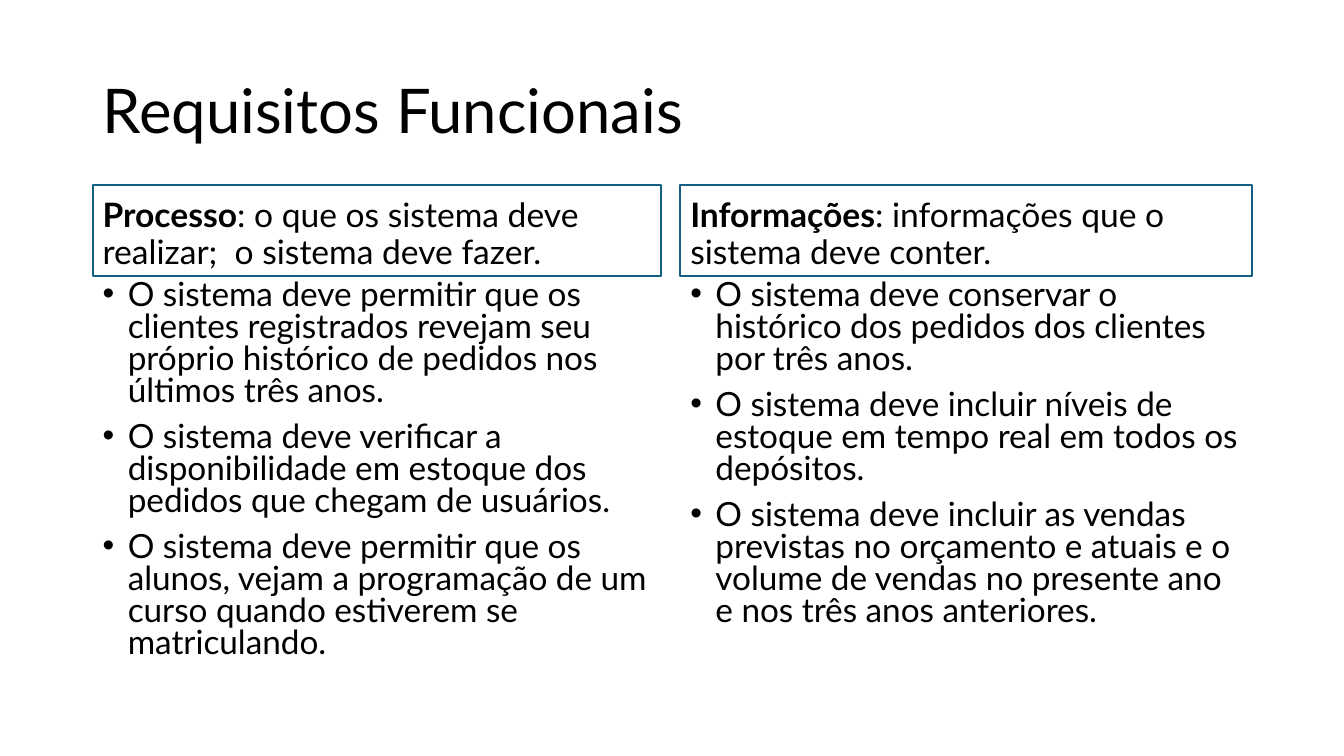
import pptx
import pptx.dml.color
import pptx.enum.shapes
import pptx.enum.text
import pptx.util
from lxml import etree
from pptx.oxml.ns import qn

Pt = pptx.util.Pt
ANCHOR = pptx.enum.text.MSO_ANCHOR
COLORS = {"text": "000000", "fill": "FFFFFF", "border": "156082"}


class Deck:
    font = "Lato"

    def __init__(self, prs):
        self.s = prs.slides.add_slide(prs.slide_layouts[6])

    def color(self, name):
        return pptx.dml.color.RGBColor.from_string(COLORS[name])

    def frame(self, sp, anchor):
        tf = sp.text_frame
        tf.word_wrap = True
        tf.vertical_anchor = anchor
        return tf

    def style(self, p, size, spacing, before=0):
        p.alignment = pptx.enum.text.PP_ALIGN.LEFT
        p.line_spacing = spacing
        p.space_before = Pt(before)
        p.font.name = self.font
        p.font.size = Pt(size)
        p.font.color.rgb = self.color("text")

    def title(self, text, x, y, w, h):
        sp = self.s.shapes.add_textbox(Pt(x), Pt(y), Pt(w), Pt(h))
        p = self.frame(sp, ANCHOR.MIDDLE).paragraphs[0]
        p.text = text
        self.style(p, 44, 0.9)

    def heading(self, term, text, x, y, w, h):
        sp = self.s.shapes.add_shape(
            pptx.enum.shapes.MSO_SHAPE.RECTANGLE, Pt(x), Pt(y), Pt(w), Pt(h))
        sp.shadow.inherit = False
        sp.fill.solid()
        sp.fill.fore_color.rgb = self.color("fill")
        sp.line.color.rgb = self.color("border")
        sp.line.width = Pt(1.5)
        p = self.frame(sp, ANCHOR.BOTTOM).paragraphs[0]
        self.style(p, 24, 0.9, 10)
        for part, bold in ((term, True), (text, False)):
            r = p.add_run()
            r.text = part
            r.font.bold = bold

    def bullets(self, items, x, y, w, h):
        sp = self.s.shapes.add_textbox(Pt(x), Pt(y), Pt(w), Pt(h))
        tf = self.frame(sp, ANCHOR.TOP)
        for i, item in enumerate(items):
            p = tf.add_paragraph() if i else tf.paragraphs[0]
            p.text = item
            self.style(p, 23.8, 0.8, 10)
            # Hanging bullet, placed ahead of the default run properties
            pPr = p._p.get_or_add_pPr()
            pPr.set("marL", str(Pt(18)))
            pPr.set("indent", str(-Pt(18)))
            font = etree.Element(qn("a:buFont"), typeface="Arial")
            char = etree.Element(qn("a:buChar"), char="•")
            for el in (font, char):
                pPr.find(qn("a:defRPr")).addprevious(el)


# Left edge, width, heading term, heading text, bullets
COLUMNS = [
    (66.24, 406.08, "Processo",
     ": o que os sistema deve realizar;  o sistema deve fazer.",
     ["O sistema deve permitir que os clientes registrados revejam seu "
      "próprio histórico de pedidos nos últimos três anos.",
      "O sistema deve verificar a disponibilidade em estoque dos pedidos "
      "que chegam de usuários.",
      "O sistema deve permitir que os alunos, vejam a programação de um "
      "curso quando estiverem se matriculando."]),
    (486, 408.24, "Informações",
     ": informações que o sistema deve conter.",
     ["O sistema deve conservar o histórico dos pedidos dos clientes por "
      "três anos.",
      "O sistema deve incluir níveis de estoque em tempo real em todos os "
      "depósitos.",
      "O sistema deve incluir as vendas previstas no orçamento e atuais e o "
      "volume de vendas no presente ano e nos três anos anteriores."]),
]


def main():
    prs = pptx.Presentation()
    prs.slide_width, prs.slide_height = Pt(960), Pt(540)
    deck = Deck(prs)

    # Title
    deck.title("Requisitos Funcionais", 66.24, 28.8, 828, 104.4)

    # Two columns: boxed heading above its bullets
    top, head_h, body_h = 132.4, 64.9, 290
    for x, w, term, text, items in COLUMNS:
        deck.heading(term, text, x, top, w, head_h)
        deck.bullets(items, x, top + head_h, w, body_h)

    prs.save("out.pptx")


if __name__ == "__main__":
    main()
